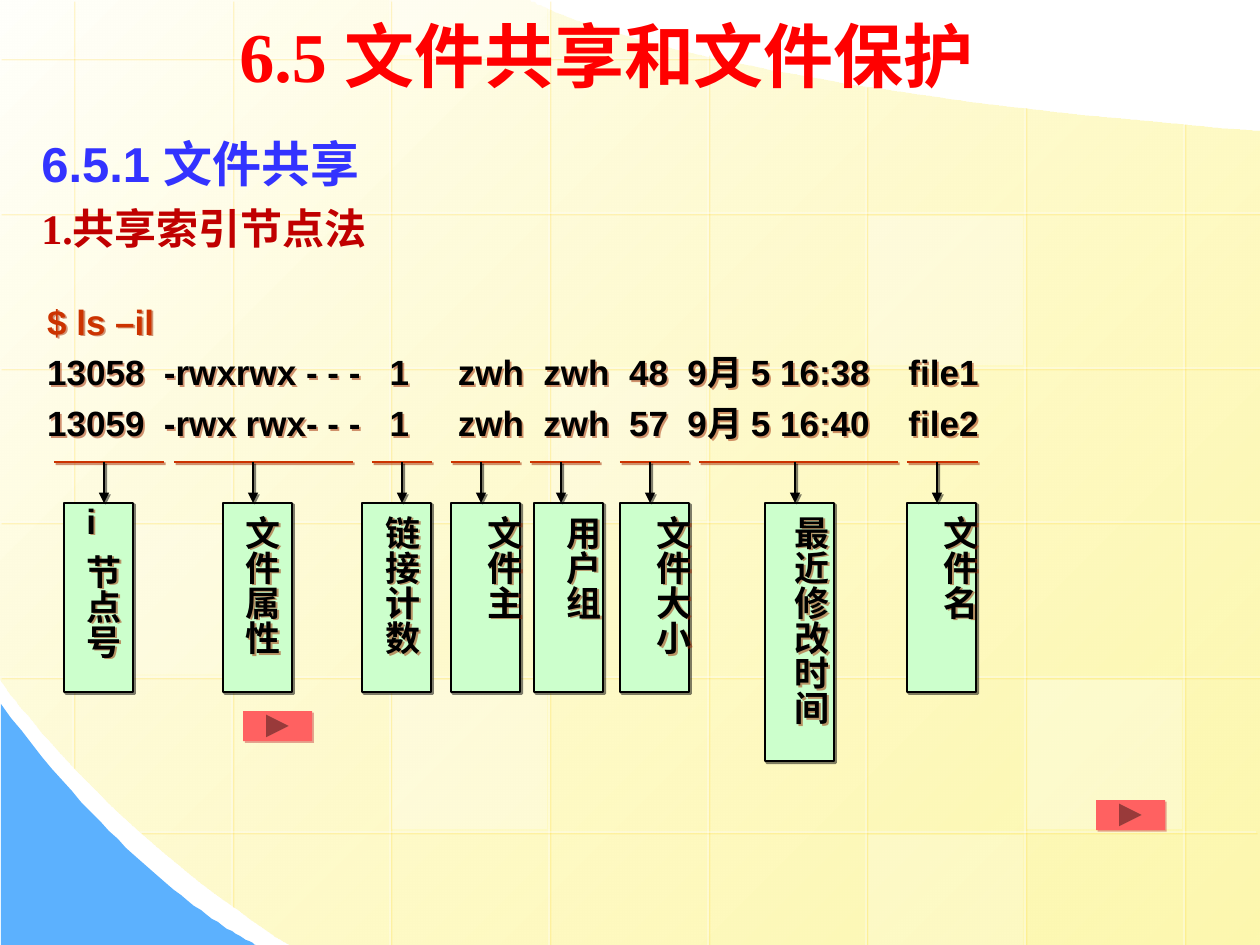
from dataclasses import dataclass

from lxml import etree
from pptx import Presentation
from pptx.dml.color import RGBColor
from pptx.enum.shapes import MSO_CONNECTOR, MSO_SHAPE
from pptx.enum.text import MSO_AUTO_SIZE
from pptx.oxml.ns import qn
from pptx.util import Emu, Pt

RECTANGLE = MSO_SHAPE.RECTANGLE
FORWARD_BUTTON = MSO_SHAPE.ACTION_BUTTON_FORWARD_OR_NEXT
STRAIGHT = MSO_CONNECTOR.STRAIGHT
FIT_TEXT = MSO_AUTO_SIZE.SHAPE_TO_FIT_TEXT

WHITE = RGBColor(0xFF, 0xFF, 0xFF)
BLACK = RGBColor(0, 0, 0)
IVORY = RGBColor(0xFF, 0xFF, 0xFB)
YELLOW = RGBColor(0xFD, 0xF5, 0x8D)
SKY = RGBColor(0x5C, 0xB1, 0xFE)
GOLD = RGBColor(0xFF, 0xCC, 0x00)
MINT = RGBColor(0xCC, 0xFF, 0xCC)
RUST = RGBColor(0xCC, 0x33, 0x00)
RUST_SHADOW = RGBColor(0xA3, 0x29, 0x00)
CORAL = RGBColor(0xFF, 0x61, 0x61)
CORAL_SHADOW = RGBColor(0xCC, 0x4E, 0x4E)
RED = RGBColor(0xFF, 0, 0)
BLUE = RGBColor(0x33, 0x33, 0xFF)
DARK_RED = RGBColor(0xC0, 0, 0)

SLIDE_W, SLIDE_H = 1260, 945
EMU_PER_PX = 914400 / 126
RULE_Y, BOX_TOP = 462, 503
BOX_W, LABEL_W = 69, 76


@dataclass(frozen=True)
class Line:
    text: str
    size: int
    color: RGBColor
    font: str = "Arial"


@dataclass(frozen=True)
class Field:
    """One column of the listing: its underline, arrow and label box."""
    label: str
    rule_left: int
    rule_right: int
    box_left: int
    label_left: int
    arrow_x: int
    box_h: int = 189
    label_top: int = BOX_TOP
    label_h: int = 189


FIELDS = [
    Field("节点号", 54, 164, 64, 54, 104, label_top=542, label_h=139),
    Field("文件属性", 174, 353, 223, 213, 253),
    Field("链接计数", 372, 432, 362, 353, 402),
    Field("文件主", 451, 520, 451, 455, 481),
    Field("用户组", 530, 600, 534, 534, 561),
    Field("文件大小", 620, 689, 620, 624, 650),
    Field("最近修改时间", 699, 898, 765, 762, 795, box_h=258, label_h=268),
    Field("文件名", 907, 978, 907, 911, 937),
]

GRID_X = [round(73 + 158.7 * i) for i in range(8)]
GRID_Y = [round(58 + 154.8 * i) for i in range(6)]
GRID_X_SPANS = [(0, 767), (0, 906), (0, SLIDE_H), (0, SLIDE_H),
                (54, SLIDE_H), (86, SLIDE_H), (107, SLIDE_H), (123, SLIDE_H)]
GRID_Y_SPANS = [(0, 716)] + [(0, SLIDE_W)] * 4 + [(140, 1256)]
# column, row, opacity in percent; row -1 lies above the first grid line
TILES = [(3, 2, 25), (6, 4, 30), (0, 3, 20), (5, 5, 20),
         (2, -1, 40), (2, 4, 30), (5, 1, 30)]


def px(length: float) -> Emu:
    return Emu(round(length * EMU_PER_PX))


def set_alpha(color_parent, percent: int) -> None:
    for color in color_parent.iter(qn("a:srgbClr")):
        etree.SubElement(color, qn("a:alpha"), val=str(percent * 1000))


def add_shadow(shape, color: RGBColor, percent: int = 50) -> None:
    effects = etree.SubElement(shape._element.spPr, qn("a:effectLst"))
    shadow = etree.SubElement(effects, qn("a:outerShdw"), dist="17961",
                              dir="2700000", algn="ctr", rotWithShape="0")
    etree.SubElement(shadow, qn("a:srgbClr"), val=str(color))
    set_alpha(shadow, percent)


def add_line(shapes, start, end, color: RGBColor, width: float = 1.5):
    line = shapes.add_connector(STRAIGHT, *map(px, start + end))
    line.line.color.rgb = color
    line.line.width = Pt(width)
    return line


def add_block(shapes, kind, left, top, width, height, fill: RGBColor):
    block = shapes.add_shape(kind, px(left), px(top), px(width), px(height))
    block.fill.solid()
    block.fill.fore_color.rgb = fill
    block.line.fill.background()
    return block


def add_text(shapes, left, top, width, height, lines: list[Line]):
    box = shapes.add_textbox(px(left), px(top), px(width), px(height))
    frame = box.text_frame
    frame.word_wrap = True
    frame.auto_size = FIT_TEXT
    for index, line in enumerate(lines):
        paragraph = frame.add_paragraph() if index else frame.paragraphs[0]
        run = paragraph.add_run()
        run.text = line.text
        run.font.name = line.font
        run.font.size = Pt(line.size)
        run.font.bold = True
        run.font.color.rgb = line.color
    return box


def bezier(p0, p1, p2, p3, steps: int = 40) -> list[tuple[int, int]]:
    def at(t, axis):
        u = 1 - t
        return round(u**3 * p0[axis] + 3 * u * u * t * p1[axis]
                     + 3 * u * t * t * p2[axis] + t**3 * p3[axis])
    return [(at(i / steps, 0), at(i / steps, 1)) for i in range(steps + 1)]


def add_outline(shapes, points):
    builder = shapes.build_freeform(*points[0], scale=EMU_PER_PX)
    builder.add_line_segments(points[1:], close=True)
    outline = builder.convert_to_shape()
    outline.shadow.inherit = False
    outline.line.fill.background()
    return outline


def draw_background(shapes) -> None:
    paper = add_outline(shapes, [
        (SLIDE_W, SLIDE_H),
        *bezier((290, SLIDE_H), (108, 833), (-1, 679), (0, 679)),
        (0, 0),
        *bezier((530, 1), (530, 1), (677, 87), (SLIDE_W, 131))])
    paper.fill.gradient()
    paper.fill.gradient_angle = 315
    stops = paper.fill.gradient_stops
    for stop, color, position in zip(stops, (IVORY, YELLOW), (0, 1)):
        stop.color.rgb = color
        stop.position = position
    set_alpha(stops[1]._gs, 70)

    corner = add_outline(shapes, [
        (1, SLIDE_H), *bezier((256, SLIDE_H), (256, SLIDE_H), (141, 893), (1, 704))])
    corner.fill.solid()
    corner.fill.fore_color.rgb = SKY

    ends = [((x, a), (x, b)) for x, (a, b) in zip(GRID_X, GRID_X_SPANS)]
    ends += [((b, y), (a, y)) for y, (a, b) in zip(GRID_Y, GRID_Y_SPANS)]
    for start, end in ends:
        grid_line = add_line(shapes, start, end, WHITE, 0.75)
        set_alpha(grid_line.line._ln, 50)
        add_shadow(grid_line, GOLD, 34)

    for column, row, opacity in TILES:
        line_y = GRID_Y[row] if row >= 0 else GRID_Y[0] - 155
        top, bottom = max(0, line_y + 3), min(SLIDE_H, line_y + 152)
        tile = add_block(shapes, RECTANGLE, GRID_X[column] + 2, top, 155, bottom - top, WHITE)
        tile.shadow.inherit = False
        set_alpha(tile.fill._xPr.find(qn("a:solidFill")), opacity)


def draw_field(shapes, field: Field) -> None:
    box = add_block(shapes, RECTANGLE, field.box_left, BOX_TOP, BOX_W, field.box_h, MINT)
    box.line.color.rgb = BLACK
    box.line.width = Pt(1.5)
    add_shadow(box, BLACK)
    rule = add_line(shapes, (field.rule_left, RULE_Y), (field.rule_right, RULE_Y), RUST)
    add_shadow(rule, RUST_SHADOW)
    label = add_text(shapes, field.label_left, field.label_top, LABEL_W, field.label_h,
                     [Line(field.label, 20, BLACK)])
    label.text_frame._txBody.bodyPr.set("vert", "eaVert")
    add_shadow(label, RUST_SHADOW)
    arrow = add_line(shapes, (field.arrow_x, RULE_Y), (field.arrow_x, BOX_TOP), BLACK)
    etree.SubElement(arrow.line._ln, qn("a:tailEnd"), type="triangle")
    add_shadow(arrow, BLACK)


def main() -> None:
    deck = Presentation()
    deck.slide_width, deck.slide_height = px(SLIDE_W), px(SLIDE_H)
    shapes = deck.slides.add_slide(deck.slide_layouts[6]).shapes
    draw_background(shapes)

    listing = add_text(shapes, 25, 294, 1201, 214, [
        Line(" $ ls –il", 20, RUST),
        Line(" 13058  -rwxrwx - - -   1     zwh  zwh  48  9月 5 16:38    file1", 20, BLACK),
        Line(" 13059  -rwx rwx- - -   1     zwh  zwh  57  9月 5 16:40    file2", 20, BLACK)])
    for paragraph in listing.text_frame.paragraphs[1:]:
        paragraph.space_before = Pt(5)
    add_shadow(listing, RUST_SHADOW)

    for field in FIELDS:
        draw_field(shapes, field)
    inode_letter = add_text(shapes, 74, 493, 49, 63, [Line("i", 20, BLACK)])
    add_shadow(inode_letter, RUST_SHADOW)

    for left, top in ((243, 711), (1096, 800)):
        button = add_block(shapes, FORWARD_BUTTON, left, top, 69, 30, CORAL)
        add_shadow(button, CORAL_SHADOW)

    add_text(shapes, 227, 6, 777, 97,
             [Line("6.5 文件共享和文件保护", 40, RED, "Times New Roman")])
    headings = add_text(shapes, 29, 116, 591, 145, [
        Line("6.5.1 文件共享", 28, BLUE),
        Line("1.共享索引节点法", 24, DARK_RED, "Times New Roman")])
    for paragraph in headings.text_frame.paragraphs:
        paragraph.line_spacing = 1.2
        properties = paragraph._p.get_or_add_pPr()
        properties.set("marL", str(px(63)))
        properties.set("indent", str(-px(63)))
    deck.save("out.pptx")


if __name__ == "__main__":
    main()
